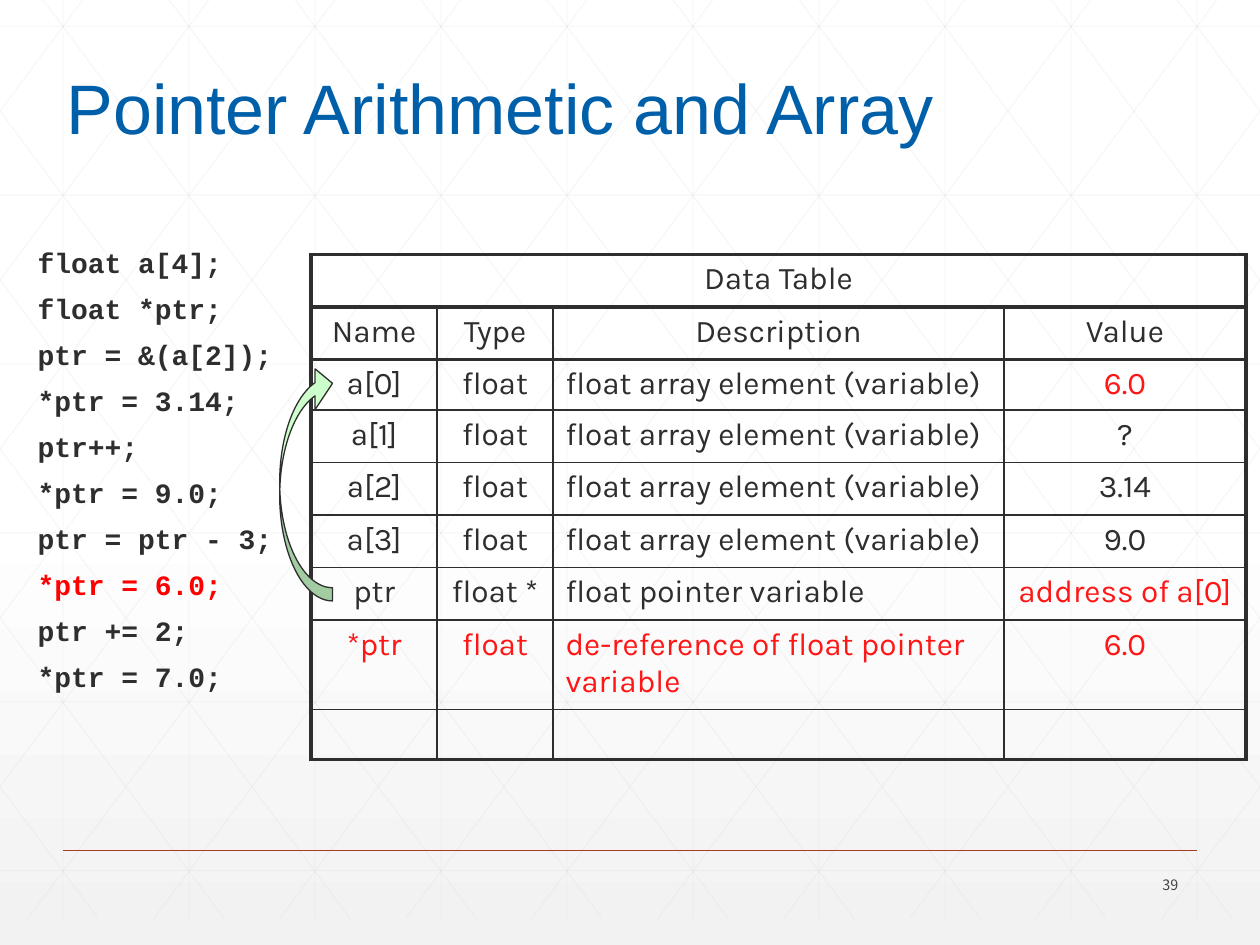
from lxml.etree import SubElement
from pptx import Presentation
from pptx.dml.color import RGBColor
from pptx.enum.shapes import MSO_CONNECTOR, MSO_SHAPE
from pptx.enum.text import MSO_ANCHOR, PP_ALIGN
from pptx.oxml.ns import qn
from pptx.util import Pt

INK = RGBColor(0x2D, 0x2E, 0x2D)
BLUE = RGBColor(0x00, 0x5F, 0xA9)
CODE_RED = RGBColor(0xFF, 0x00, 0x00)
TABLE_RED = RGBColor(0xFF, 0x17, 0x17)
RUST = RGBColor(0xA4, 0x3F, 0x27)
MINT = RGBColor(0xCC, 0xFF, 0xCC)
GRID_GRAY = RGBColor(0xD9, 0xD9, 0xD9)
PAGE_GRAY = RGBColor(0x42, 0x43, 0x42)
WHITE = RGBColor(0xFF, 0xFF, 0xFF)
PALE_GRAY = RGBColor(0xF2, 0xF2, 0xF2)

TITLE = "Pointer Arithmetic and Array"
PAGE_NUMBER = "39"
CODE = [
    "float a[4];",
    "float *ptr;",
    "ptr = &(a[2]);",
    "*ptr = 3.14;",
    "ptr++;",
    "*ptr = 9.0;",
    "ptr = ptr - 3;",
    "*ptr = 6.0;",
    "ptr += 2;",
    "*ptr = 7.0;",
]
CURRENT_CODE = "*ptr = 6.0;"
ELEMENT = "float array element (variable)"
DATA = [
    ("Data Table", "", "", ""),
    ("Name", "Type", "Description", "Value"),
    ("a[0]", "float", ELEMENT, "6.0"),
    ("a[1]", "float", ELEMENT, "?"),
    ("a[2]", "float", ELEMENT, "3.14"),
    ("a[3]", "float", ELEMENT, "9.0"),
    ("ptr", "float *", "float pointer variable", "address of a[0]"),
    ("*ptr", "float", "de-reference of float pointer variable", "6.0"),
    ("", "", "", ""),
]
RED_CELLS = {(2, 3), (6, 3), (7, 0), (7, 1), (7, 2), (7, 3)}
COLUMN_WIDTHS = [72, 66.2, 257.8, 138.2]
ROW_HEIGHTS = [30, 30, 29, 30, 30, 30, 30, 51, 28.5]
DESCRIPTION_COLUMN = 2
HEADER_ROWS = 2

SLIDE_WIDTH, SLIDE_HEIGHT = 720, 540
GRID_TOP, GRID_BOTTOM = -15, 525
GRID_STEP, ROW_STEP = 72, 96.5
DIAGONAL_RUN = 402.7


def write_text(paragraph, text, font="Karla", size=18, color=INK, bold=False,
               alignment=PP_ALIGN.LEFT):
    paragraph.alignment = alignment
    run = paragraph.add_run()
    run.text = text
    run.font.name = font
    run.font.size = Pt(size)
    run.font.bold = bold
    run.font.color.rgb = color


def add_box(shapes, left, top, width, height, wrap=True):
    frame = shapes.add_textbox(Pt(left), Pt(top), Pt(width), Pt(height)).text_frame
    frame.word_wrap = wrap
    return frame


def add_line(shapes, start, end, color, width, opacity=None):
    line = shapes.add_connector(
        MSO_CONNECTOR.STRAIGHT, *(Pt(value) for value in (*start, *end)))
    line.line.color.rgb = color
    line.line.width = Pt(width)
    properties = line._element.spPr
    SubElement(properties, qn("a:effectLst"))
    if opacity is not None:
        color_element = properties.find(".//" + qn("a:srgbClr"))
        SubElement(color_element, qn("a:alpha"), val=str(opacity * 1000))


def grid_lines():
    for index in range(10):
        x = 36 + index * GRID_STEP
        yield (x, GRID_TOP), (x, GRID_BOTTOM)
    for index in range(6):
        y = 15 + index * ROW_STEP
        yield (0, y), (SLIDE_WIDTH, y)
    slope = (GRID_BOTTOM - GRID_TOP) / DIAGONAL_RUN
    for index in range(-5, 10):
        origin = 13.5 + index * GRID_STEP
        ends = [(x, GRID_TOP + (x - origin) * slope)
                for x in (max(0, origin), min(SLIDE_WIDTH, origin + DIAGONAL_RUN))]
        yield ends
        yield [(SLIDE_WIDTH - x, y) for x, y in ends]


def add_borders(cell, row, column):
    last_row, last_column = len(DATA) - 1, len(COLUMN_WIDTHS) - 1
    thick_sides = {
        "L": column == 0,
        "R": column == last_column or row == 0,
        "T": row <= HEADER_ROWS,
        "B": row < HEADER_ROWS or row == last_row,
    }
    properties = cell._tc.get_or_add_tcPr()
    for position, (side, thick) in enumerate(thick_sides.items()):
        border = SubElement(properties, qn("a:ln" + side), w=str(Pt(2.25 if thick else 1)))
        fill = SubElement(border, qn("a:solidFill"))
        SubElement(fill, qn("a:srgbClr"), val=str(INK))
        properties.insert(position, border)


def add_data_table(shapes):
    table = shapes.add_table(
        len(DATA), len(COLUMN_WIDTHS), Pt(177.8), Pt(145.4),
        Pt(sum(COLUMN_WIDTHS)), Pt(sum(ROW_HEIGHTS))).table
    table.first_row = False
    table.horz_banding = False
    for column, width in zip(table.columns, COLUMN_WIDTHS):
        column.width = Pt(width)
    for row, height in zip(table.rows, ROW_HEIGHTS):
        row.height = Pt(height)
    table.cell(0, 0).merge(table.cell(0, len(COLUMN_WIDTHS) - 1))
    for row, values in enumerate(DATA):
        for column, text in enumerate(values):
            cell = table.cell(row, column)
            cell.fill.background()
            add_borders(cell, row, column)
            left_aligned = column == DESCRIPTION_COLUMN and row >= HEADER_ROWS
            write_text(cell.text_frame.paragraphs[0], text,
                       color=TABLE_RED if (row, column) in RED_CELLS else INK,
                       alignment=PP_ALIGN.LEFT if left_aligned else PP_ALIGN.CENTER)


def add_code(shapes):
    frame = add_box(shapes, 14.4, 139, 162, 324)
    for index, text in enumerate(CODE):
        paragraph = frame.add_paragraph() if index else frame.paragraphs[0]
        paragraph.line_spacing = 0.9
        if index:
            paragraph.space_before = Pt(9)
        properties = paragraph._p.get_or_add_pPr()
        properties.set("marL", str(Pt(13.5)))
        properties.set("indent", str(Pt(-13.5)))
        write_text(paragraph, text, font="Courier New", size=16, bold=True,
                   color=CODE_RED if text == CURRENT_CODE else INK)


def add_arrow(shapes):
    arrow = shapes.add_shape(
        MSO_SHAPE.CURVED_LEFT_ARROW, Pt(159.8), Pt(207.4), Pt(30.2), Pt(136))
    arrow.rotation = 180
    for index, value in enumerate((0.25, 0.77, 0.33)):
        arrow.adjustments[index] = value
    arrow.shadow.inherit = False
    arrow.fill.solid()
    arrow.fill.fore_color.rgb = MINT
    arrow.line.color.rgb = INK
    arrow.line.width = Pt(0.75)


def main():
    presentation = Presentation()
    presentation.slide_width = Pt(SLIDE_WIDTH)
    presentation.slide_height = Pt(SLIDE_HEIGHT)
    slide = presentation.slides.add_slide(presentation.slide_layouts[6])
    shapes = slide.shapes

    background = slide.background.fill
    background.gradient()
    background.gradient_angle = 270
    for stop, position, color in zip(
            background.gradient_stops, (0.53, 1), (WHITE, PALE_GRAY)):
        stop.position = position
        stop.color.rgb = color

    grid = shapes.add_group_shape()
    for start, end in grid_lines():
        add_line(grid.shapes, start, end, GRID_GRAY, 0.5, opacity=25)
    add_line(shapes, (36, 486), (684, 486), RUST, 1)

    page_frame = add_box(shapes, 626.4, 496.8, 54, 17.3)
    page_frame.vertical_anchor = MSO_ANCHOR.MIDDLE
    write_text(page_frame.paragraphs[0], PAGE_NUMBER, font="Noto Sans CJK TC",
               size=8.2, color=PAGE_GRAY, alignment=PP_ALIGN.RIGHT)
    title_frame = add_box(shapes, 31, 33.1, 515.5, 55.4, wrap=False)
    write_text(title_frame.paragraphs[0], TITLE, font="Arial", size=40, color=BLUE)

    add_code(shapes)
    add_data_table(shapes)
    add_arrow(shapes)
    presentation.save("out.pptx")


if __name__ == "__main__":
    main()
